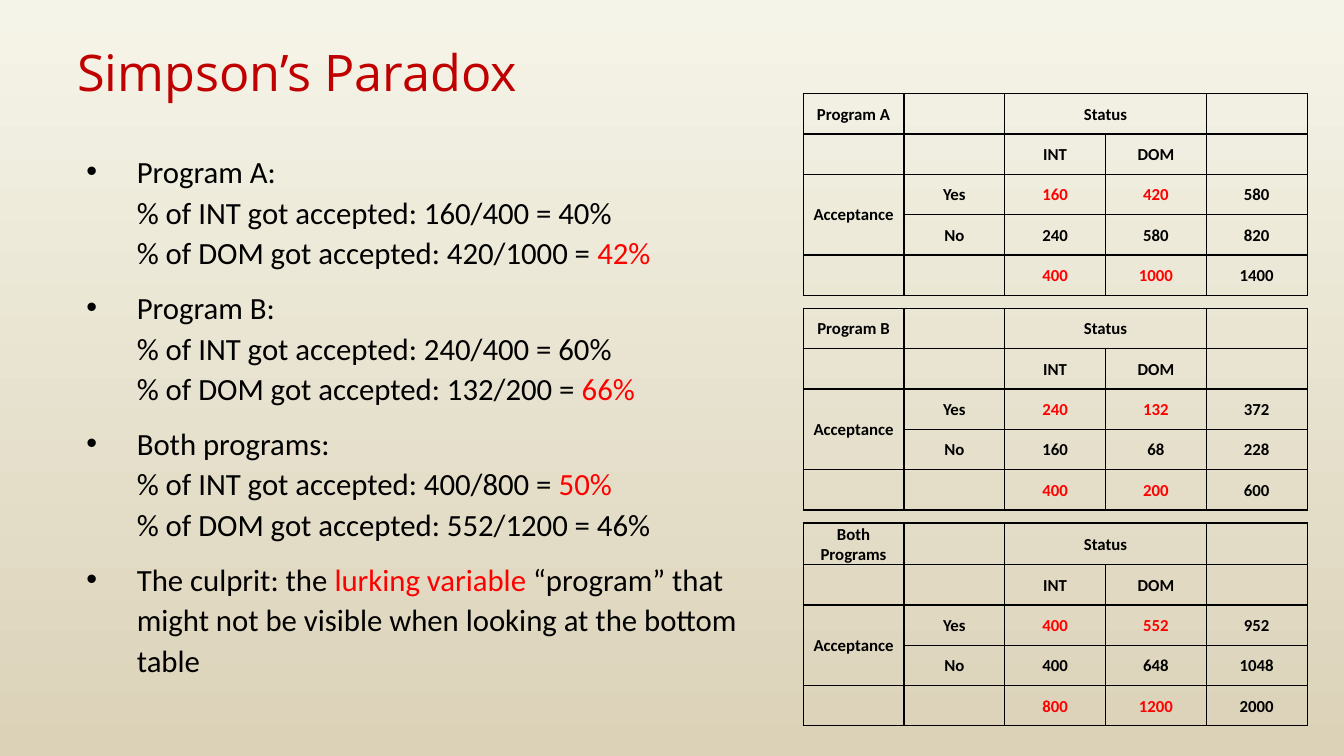
from lxml.etree import SubElement
from pptx import Presentation
from pptx.dml.color import RGBColor
from pptx.enum.text import MSO_ANCHOR, PP_ALIGN
from pptx.oxml.ns import qn
from pptx.util import Cm, Pt

BLACK = RGBColor(0x00, 0x00, 0x00)
RED = RGBColor(0xFF, 0x00, 0x00)
DARK_RED = RGBColor(0xC0, 0x00, 0x00)
CREAM = RGBColor(0xF5, 0xF4, 0xE8)
SAND = RGBColor(0xDB, 0xD2, 0xB8)

TITLE_FONT = {"name": "Open Sans", "size": Pt(36)}
BODY_FONT = {"name": "Calibri", "size": Pt(22)}
TABLE_FONT = {"name": "Calibri", "size": Pt(12), "bold": True}
CELL_FORMAT = {
    "margin_left": Cm(0.03), "margin_right": Cm(0.03),
    "margin_top": Cm(0.03), "margin_bottom": 0,
    "vertical_anchor": MSO_ANCHOR.MIDDLE,
}


def add_text(paragraph, text, font_format, color):
    """Append text in one format, turning each newline into a line break."""
    for index, line in enumerate(text.split("\n")):
        if index:
            paragraph.add_line_break()
        if line:
            run = paragraph.add_run()
            run.text = line
            for name, value in font_format.items():
                setattr(run.font, name, value)
            run.font.color.rgb = color


def add_borders(cell):
    properties = cell._tc.get_or_add_tcPr()
    for side in ("a:lnL", "a:lnR", "a:lnT", "a:lnB"):
        line = SubElement(properties, qn(side), w=str(Pt(1)))
        fill = SubElement(line, qn("a:solidFill"))
        SubElement(fill, qn("a:srgbClr"), val=str(BLACK))


presentation = Presentation()
presentation.slide_width = Cm(33.87)
presentation.slide_height = Cm(19.05)
slide = presentation.slides.add_slide(presentation.slide_layouts[6])

background = slide.background.fill
background.gradient()
background.gradient_angle = 270
for stop, position, color in zip(background.gradient_stops, (0, 1), (CREAM, SAND)):
    stop.position = position
    stop.color.rgb = color

# Title
title = slide.shapes.add_textbox(Cm(1.7), Cm(1.09), Cm(30.48), Cm(2.54))
title.text_frame.word_wrap = True
paragraph = title.text_frame.paragraphs[0]
paragraph.line_spacing = 0.9
add_text(paragraph, "Simpson’s Paradox", TITLE_FONT, DARK_RED)

# Acceptance rates
bullets = [
    [("Program A:\n% of INT got accepted: 160/400 = 40%\n"
      "% of DOM got accepted: 420/1000 = ", BLACK), ("42%", RED)],
    [("Program B:\n% of INT got accepted: 240/400 = 60%\n"
      "% of DOM got accepted: 132/200 = ", BLACK), ("66%", RED)],
    [("Both programs:\n% of INT got accepted: 400/800 = ", BLACK), ("50%", RED),
     ("\n% of DOM got accepted: 552/1200 = 46%", BLACK)],
    [("The culprit: the ", BLACK), ("lurking variable", RED),
     (" “program” that might not be visible when looking at the bottom table", BLACK)],
]
body = slide.shapes.add_textbox(Cm(1.93), Cm(3.63), Cm(17.55), Cm(13.97))
body.text_frame.word_wrap = True
for index, pieces in enumerate(bullets):
    paragraph = body.text_frame.paragraphs[0] if index == 0 else body.text_frame.add_paragraph()
    properties = paragraph._p.get_or_add_pPr()
    properties.set("marL", str(Cm(1.27)))
    properties.set("indent", str(-Cm(1.27)))
    bullet_color = SubElement(properties, qn("a:buClr"))
    SubElement(bullet_color, qn("a:srgbClr"), val=str(BLACK))
    SubElement(properties, qn("a:buFont"), typeface="Arial")
    SubElement(properties, qn("a:buChar"), char="•")
    paragraph.line_spacing = 1.1
    paragraph.space_before = Pt(10 if index else 0)
    for text, color in pieces:
        add_text(paragraph, text, BODY_FONT, color)

# Contingency tables: accepted and rejected counts as (INT, DOM)
programs = [
    ("Program A", (160, 420), (240, 580)),
    ("Program B", (240, 132), (160, 68)),
    ("Both Programs", (400, 552), (400, 648)),
]
for index, (program, accepted, rejected) in enumerate(programs):
    totals = [yes + no for yes, no in zip(accepted, rejected)]
    rows = [
        [program, "", "Status", "", ""],
        ["", "", "INT", "DOM", ""],
        ["Acceptance", "Yes", *accepted, sum(accepted)],
        ["", "No", *rejected, sum(rejected)],
        ["", "", *totals, sum(totals)],
    ]
    table = slide.shapes.add_table(
        5, 5, Cm(20.24), Cm(2.36 + 5.41 * index), Cm(12.7), Cm(5.08)).table
    table.first_row = False
    table.horz_banding = False
    table.cell(0, 2).merge(table.cell(0, 3))
    table.cell(2, 0).merge(table.cell(3, 0))
    for row, values in enumerate(rows):
        for column, value in enumerate(values):
            cell = table.cell(row, column)
            for name, setting in CELL_FORMAT.items():
                setattr(cell, name, setting)
            add_borders(cell)
            cell.fill.background()
            paragraph = cell.text_frame.paragraphs[0]
            paragraph.alignment = PP_ALIGN.CENTER
            highlighted = row in (2, 4) and column in (2, 3)
            add_text(paragraph, str(value), TABLE_FONT, RED if highlighted else BLACK)

presentation.save("out.pptx")
